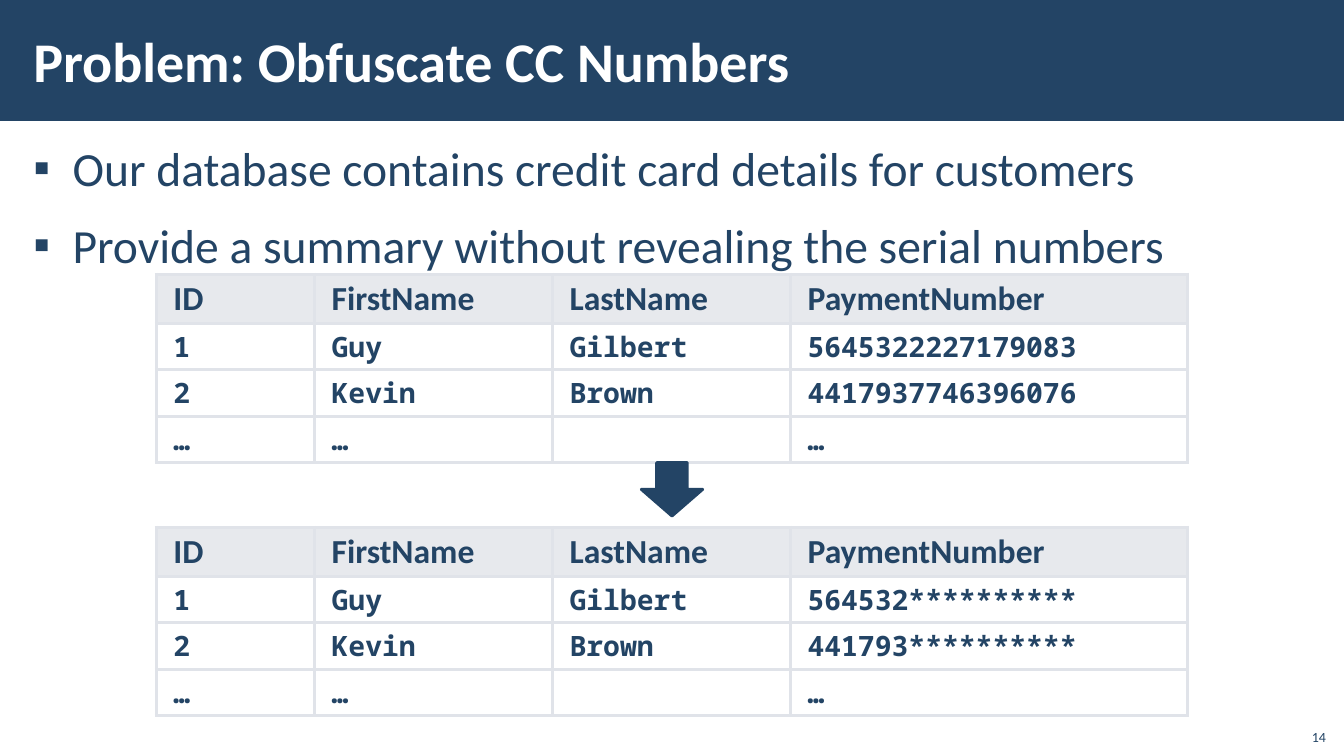
from dataclasses import dataclass

from lxml import etree
from pptx import Presentation
from pptx import util as u
from pptx.dml.color import RGBColor
from pptx.enum import shapes, text
from pptx.oxml import ns

PX = 9144  # EMU per px, 100 px to the inch


@dataclass(frozen=True)
class Theme:
    navy: str = "234465"
    white: str = "FFFFFF"
    header: str = "D1D5DD"
    border: str = "E0E3E9"
    sans: str = "Calibri"
    mono: str = "Noto Sans Mono"
    title: int = 40
    body: int = 34
    table_header: int = 24
    table_body: int = 20
    page: int = 10


THEME = Theme()
COLUMNS = (157, 236, 236, 394)
ROWS = (48, 42, 42, 42)
HEADINGS = ("ID", "FirstName", "LastName", "PaymentNumber")
CUSTOMERS = (("1", "Guy", "Gilbert"), ("2", "Kevin", "Brown"), ("…", "…", ""))
PLAIN_NUMBERS = ("5645322227179083", "4417937746396076", "…")
MASKED_NUMBERS = ("564532**********", "441793**********", "…")
BULLETS = (
    "Our database contains credit card details for customers",
    "Provide a summary without revealing the serial numbers",
)


def emu(*lengths):
    return [u.Emu(length * PX) for length in lengths]


def rgb(color):
    return RGBColor.from_string(color)


def add_xml(parent, tag, **attributes):
    return etree.SubElement(parent, ns.qn(tag), attributes)


def write(paragraph, words, size, color=THEME.navy, font=THEME.sans, bold=False, **layout):
    run = paragraph.add_run()
    run.text = words
    run.font.color.rgb = rgb(color)
    for name, value in {"size": u.Pt(size), "name": font, "bold": bold}.items():
        setattr(run.font, name, value)
    for name, value in layout.items():
        setattr(paragraph, name, value)


def set_frame(frame, anchor, inset_x=12, inset_y=4):
    side, end = emu(inset_x, inset_y)
    values = {
        "word_wrap": True, "auto_size": text.MSO_AUTO_SIZE.NONE, "vertical_anchor": anchor,
        "margin_left": side, "margin_right": side, "margin_top": end, "margin_bottom": end,
    }
    for name, value in values.items():
        setattr(frame, name, value)


def add_solid(slide, kind, box, line_width=None):
    solid = slide.shapes.add_shape(kind, *emu(*box))
    solid.shadow.inherit = False
    solid.fill.solid()
    solid.fill.fore_color.rgb = rgb(THEME.navy)
    if line_width:
        solid.line.color.rgb = rgb(THEME.navy)
        solid.line.width = u.Pt(line_width)
    else:
        solid.line.fill.background()
    return solid


def add_heading(slide, box, words):
    left, top, width, height = box
    band = add_solid(slide, shapes.MSO_SHAPE.RECTANGLE, box)
    title = slide.shapes.title
    title._element.addprevious(band._element)
    place = emu(left + 21, top + 11, width - 271, height - 23)
    for name, value in zip(("left", "top", "width", "height"), place):
        setattr(title, name, value)
    set_frame(title.text_frame, text.MSO_ANCHOR.MIDDLE)
    write(title.text_frame.paragraphs[0], words, THEME.title, THEME.white, bold=True,
          alignment=text.PP_ALIGN.LEFT)


def add_bullets(slide, box, lines):
    frame = slide.shapes.add_textbox(*emu(*box)).text_frame
    set_frame(frame, text.MSO_ANCHOR.TOP)
    for index, words in enumerate(lines):
        paragraph = frame.add_paragraph() if index else frame.paragraphs[0]
        write(paragraph, words, THEME.body, line_spacing=1.05,
              space_before=u.Pt(6), space_after=u.Pt(6))
        properties = paragraph._p.get_or_add_pPr()
        properties.set("marL", str(39 * PX))
        properties.set("indent", str(-39 * PX))
        add_xml(properties, "a:buFont", typeface="Arial")
        add_xml(properties, "a:buChar", char="▪")


def format_cell(cell, color, opacity):
    side, end = emu(17, 5)
    cell.margin_left = cell.margin_right = side
    cell.margin_top = cell.margin_bottom = end
    properties = cell._tc.get_or_add_tcPr()
    for edge in "LRTB":
        border = add_xml(properties, f"a:ln{edge}", w=str(u.Pt(2.25)))
        add_xml(add_xml(border, "a:solidFill"), "a:srgbClr", val=THEME.border)
    cell.fill.solid()
    cell.fill.fore_color.rgb = rgb(color)
    tint = properties.find(ns.qn("a:solidFill"))[0]
    add_xml(tint, "a:alpha", val=str(opacity * 1000))


def add_customer_table(slide, left, top, numbers):
    records = [HEADINGS] + [(*person, number) for person, number in zip(CUSTOMERS, numbers)]
    box = emu(left, top, sum(COLUMNS), sum(ROWS))
    table = slide.shapes.add_table(len(ROWS), len(COLUMNS), *box).table
    table.first_row = table.horz_banding = False
    for column, width in zip(table.columns, emu(*COLUMNS)):
        column.width = width
    for index, (row, height, record) in enumerate(zip(table.rows, emu(*ROWS), records)):
        row.height = height
        if index:
            fill, size, font = (THEME.white, 20), THEME.table_body, THEME.mono
        else:
            fill, size, font = (THEME.header, 50), THEME.table_header, THEME.sans
        for cell, words in zip(row.cells, record):
            format_cell(cell, *fill)
            if words:
                write(cell.text_frame.paragraphs[0], words, size, font=font, bold=True,
                      line_spacing=0.95)


def add_page_number(slide, box, number):
    frame = slide.shapes.add_textbox(*emu(*box)).text_frame
    set_frame(frame, text.MSO_ANCHOR.BOTTOM, 10, 5)
    write(frame.paragraphs[0], number, THEME.page, alignment=text.PP_ALIGN.RIGHT)


def add_problem_slide(deck):
    slide = deck.slides.add_slide(deck.slide_layouts[5])
    add_heading(slide, (0, 0, 1334, 120), "Problem: Obfuscate CC Numbers")
    add_bullets(slide, (21, 131, 1292, 605), BULLETS)
    for top, numbers in ((272, PLAIN_NUMBERS), (523, MASKED_NUMBERS)):
        add_customer_table(slide, 155, top, numbers)
    add_solid(slide, shapes.MSO_SHAPE.DOWN_ARROW, (636, 459, 61, 53), line_width=2)
    add_page_number(slide, (1285, 712, 40, 32), "14")


def main():
    deck = Presentation()
    deck.slide_width, deck.slide_height = emu(1333, 750)
    add_problem_slide(deck)
    deck.save("out.pptx")


if __name__ == "__main__":
    main()
